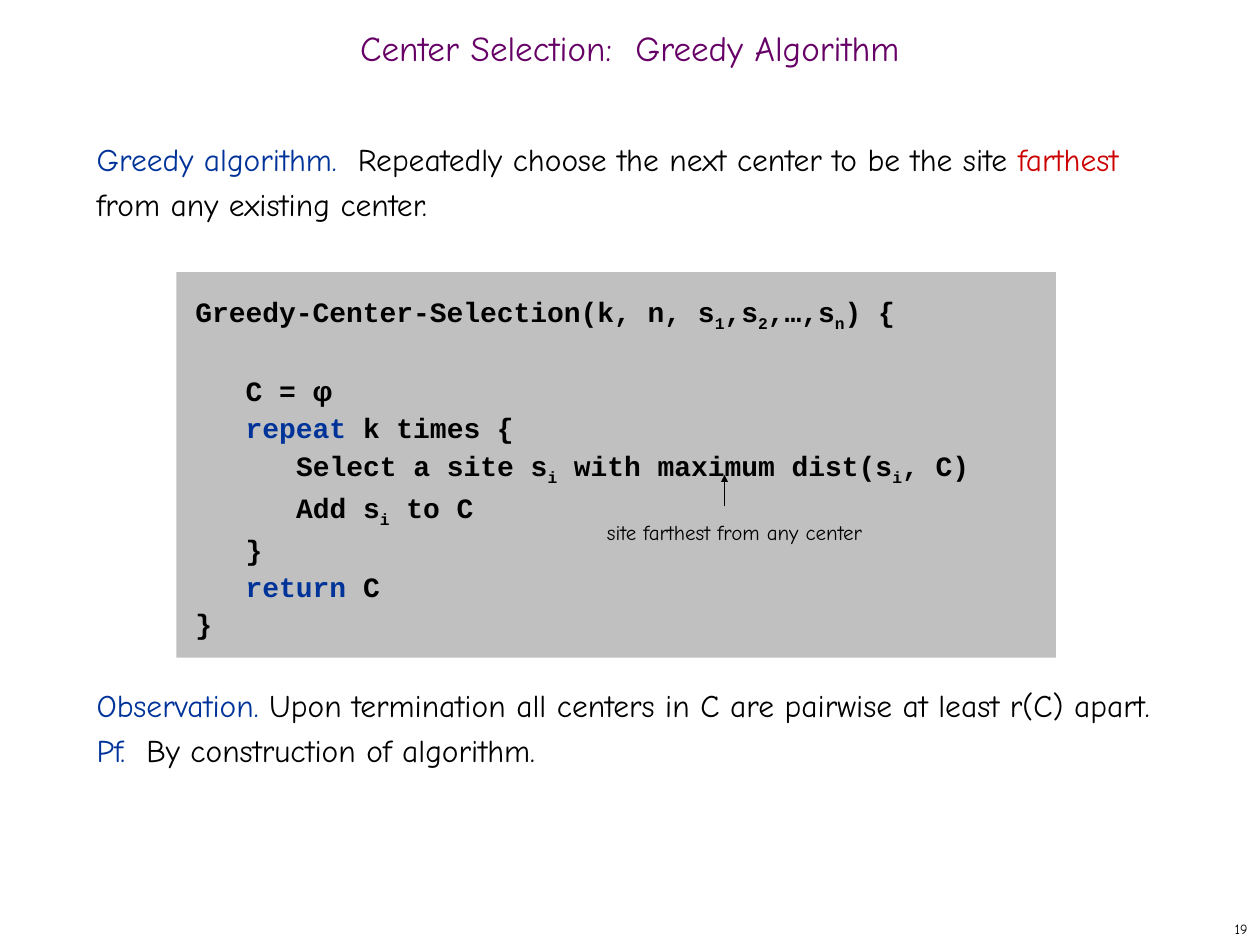
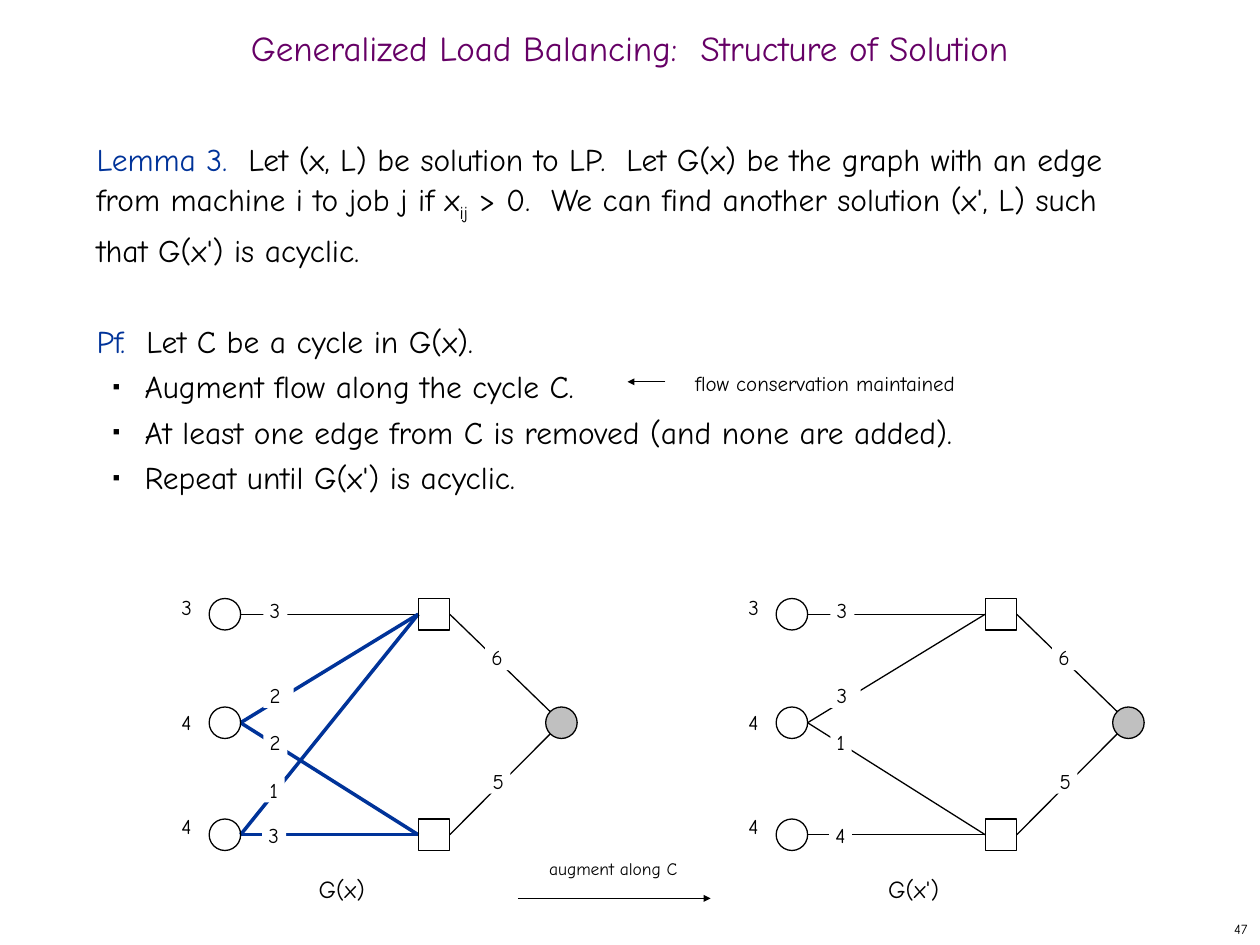
from lxml import etree
from pptx import Presentation
from pptx import util as u
from pptx.dml import color as dml
from pptx.enum import shapes, text
from pptx.oxml import ns

Pt = u.Pt
BLACK, WHITE, GRAY = "000000", "FFFFFF", "C0C0C0"
BLUE, RED, PURPLE = "003399", "CC0000", "660066"
SANS, MONO = "Comic Neue", "Courier New"
SUB = "sub"
CODE_STEP = 28.8
NODE = 18
JOB_X, MACHINE_X, SINK_X = 119.5, 239, 311.8
JOB_TOPS = (342, 404, 468)
MACHINE_TOPS = (342, 468)
GRAPH_SHIFT = 324


def rgb(value):
    return dml.RGBColor.from_string(value)


def place(box, left, top, width, height):
    box.left, box.top, box.width, box.height = map(Pt, (left, top, width, height))


def add_xml(parent, tag, **attributes):
    return etree.SubElement(parent, ns.qn(tag), attributes)


def add_bullet(para):
    props = para._p.get_or_add_pPr()
    add_xml(add_xml(props, "a:buClr"), "a:srgbClr", val=BLACK)
    add_xml(props, "a:buSzPct", val="35000")
    add_xml(props, "a:buFont", typeface="Arial")
    add_xml(props, "a:buChar", char="■")


def write(para, spans, size, color=BLACK, font=SANS, bold=False):
    para.font.size, para.font.name, para.font.bold = Pt(size), font, bold
    para.font.color.rgb = rgb(color)
    for item in spans:
        words, mark = item if isinstance(item, tuple) else (item, None)
        span = para.add_run()
        span.text = words
        if mark == SUB:
            span._r.get_or_add_rPr().set("baseline", "-25000")
        elif mark == "Arial":
            span.font.name = mark
        elif mark:
            span.font.color.rgb = rgb(mark)


def next_para(frame, index):
    return frame.add_paragraph() if index else frame.paragraphs[0]


def set_indent(para, left, first):
    props = para._p.get_or_add_pPr()
    props.set("marL", str(Pt(left)))
    props.set("indent", str(Pt(first)))


def add_page(deck, title, number):
    page = deck.slides.add_slide(deck.slide_layouts[1])
    box = page.shapes.title
    place(box, 0, 12, 720, 36)
    box.text_frame.vertical_anchor = text.MSO_ANCHOR.MIDDLE
    box.text_frame.auto_size = text.MSO_AUTO_SIZE.NONE
    para = box.text_frame.paragraphs[0]
    para.alignment = text.PP_ALIGN.CENTER
    para.line_spacing = 0.7
    write(para, [title], 20, PURPLE)
    footer = page.shapes.add_textbox(Pt(570), Pt(522), Pt(150), Pt(18)).text_frame
    footer.word_wrap = True
    footer.vertical_anchor = text.MSO_ANCHOR.MIDDLE
    footer.paragraphs[0].alignment = text.PP_ALIGN.RIGHT
    write(footer.paragraphs[0], [number], 8)
    return page


def fill_body(page, lines):
    box = page.placeholders[1]
    place(box, 48, 72, 618, 426)
    frame = box.text_frame
    frame.auto_size = text.MSO_AUTO_SIZE.NONE
    for index, (gap, bulleted, spans) in enumerate(lines):
        para = next_para(frame, index)
        para.line_spacing, para.space_before = Pt(26), Pt(gap)
        if bulleted:
            para.level = 1
            set_indent(para, 27.4, -18)
            add_bullet(para)
        else:
            set_indent(para, 0, 0)
            add_xml(para._p.get_or_add_pPr(), "a:buNone")
        write(para, spans, 18)


def add_code(page, lines):
    box = page.shapes.add_shape(shapes.MSO_SHAPE.RECTANGLE,
                                Pt(100.8), Pt(155.6), Pt(502.6), Pt(220.2))
    box.shadow.inherit = False
    box.fill.solid()
    box.fill.fore_color.rgb = rgb(GRAY)
    box.line.fill.background()
    frame = box.text_frame
    frame.word_wrap = True
    frame.vertical_anchor = text.MSO_ANCHOR.TOP
    frame.margin_left = frame.margin_right = frame.margin_bottom = Pt(10.8)
    frame.margin_top = Pt(13.5)
    for index, (depth, gap, spans) in enumerate(lines):
        para = next_para(frame, index)
        para.alignment = text.PP_ALIGN.LEFT
        para.line_spacing, para.space_before = Pt(21.3), Pt(gap)
        set_indent(para, depth * CODE_STEP, 0)
        write(para, spans, 16, font=MONO, bold=True)


def add_note(page, words, left, top, width, height, size=12, leading=None):
    box = page.shapes.add_textbox(Pt(left), Pt(top), Pt(width), Pt(height))
    frame = box.text_frame
    frame.word_wrap = False
    frame.auto_size = text.MSO_AUTO_SIZE.SHAPE_TO_FIT_TEXT
    if leading:
        frame.paragraphs[0].line_spacing = Pt(leading)
    write(frame.paragraphs[0], [words], size)
    return box


def add_edge_label(page, words, left, top, width=13.7):
    box = add_note(page, words, left, top, width, 14.4)
    box.fill.solid()
    box.fill.fore_color.rgb = rgb(WHITE)
    frame = box.text_frame
    frame.margin_left = frame.margin_right = Pt(3.6)
    frame.margin_top = frame.margin_bottom = 0


def add_line(page, start, end, color=BLACK, width=0.75, arrow=False):
    line = page.shapes.add_connector(shapes.MSO_CONNECTOR.STRAIGHT,
                                     *map(Pt, start + end))
    line.line.color.rgb = rgb(color)
    line.line.width = Pt(width)
    if arrow:
        add_xml(line.line._get_or_add_ln(), "a:tailEnd",
                type="triangle", w="sm", len="sm")
    add_xml(line._element.spPr, "a:effectLst")


def add_node(page, kind, left, top, fill=None):
    node = page.shapes.add_shape(kind, Pt(left), Pt(top), Pt(NODE), Pt(NODE))
    node.shadow.inherit = False
    if fill:
        node.fill.solid()
        node.fill.fore_color.rgb = rgb(fill)
    else:
        node.fill.background()
    node.line.color.rgb = rgb(BLACK)
    node.line.width = Pt(0.75)


def add_graph(page, shift, edges, labels, caption, caption_at):
    circle, square = shapes.MSO_SHAPE.OVAL, shapes.MSO_SHAPE.RECTANGLE
    half = NODE / 2
    for job, machine, in_cycle in edges:
        add_line(page, (shift + JOB_X + NODE, JOB_TOPS[job] + half),
                 (shift + MACHINE_X, MACHINE_TOPS[machine] + half),
                 BLUE if in_cycle else BLACK, 2 if in_cycle else 0.75)
    for top, sink_y in zip(MACHINE_TOPS, (406.8, 419.2)):
        add_line(page, (shift + SINK_X + 2.8, sink_y),
                 (shift + MACHINE_X + NODE, top + half))
        add_node(page, square, shift + MACHINE_X, top)
    for top, supply, label_top in zip(JOB_TOPS, "344", (336.2, 401.8, 461.5)):
        add_node(page, circle, shift + JOB_X, top)
        add_note(page, supply, shift + 96.5, label_top, 20.5, 21.6)
    add_node(page, circle, shift + SINK_X, JOB_TOPS[1], GRAY)
    loads = [("6", 277.2, 368.6), ("5", 277.9, 439.2)]
    for words, left, *rest in labels + loads:
        add_edge_label(page, words, shift + left, *rest)
    add_note(page, caption, shift + caption_at[0], 496, caption_at[1], 23.8, 14)


def build_greedy(deck):
    page = add_page(deck, "Center Selection:  Greedy Algorithm", "19")
    fill_body(page, [
        (0, False, [("Greedy algorithm.  ", BLUE),
                    "Repeatedly choose the next center to be the site ",
                    ("farthest", RED), " from any existing center."]),
        (260, False, [("Observation. ", BLUE),
                      "Upon termination all centers in C are pairwise "
                      "at least r(C) apart."]),
        (0, False, [("Pf.  ", BLUE), "By construction of algorithm."]),
    ])
    add_code(page, [
        (0, 0, ["Greedy-Center-Selection(k, n, s", ("1", SUB), ",s", ("2", SUB),
                ",…,s", ("n", SUB), ") {"]),
        (1, 21, ["C = ", ("φ", "Arial")]),
        (1, 0, [("repeat ", BLUE), "k times {"]),
        (2, 3, ["Select a site s", ("i", SUB), " with maximum dist(s",
                ("i", SUB), ", C)"]),
        (2, 2.4, ["Add s", ("i", SUB), " to C"]),
        (1, 0, ["}"]),
        (1, 0, [("return ", BLUE), "C"]),
        (0, 0, ["}"]),
    ])
    add_line(page, (414, 289.4), (414, 271.4), arrow=True)
    add_note(page, "site farthest from any center", 339.8, 293.3, 161.3, 21.6)


def build_balancing(deck):
    page = add_page(deck, "Generalized Load Balancing:  Structure of Solution", "47")
    fill_body(page, [
        (0, False, [("Lemma 3.  ", BLUE),
                    "Let (x, L) be solution to LP.  Let G(x) be the graph with "
                    "an edge from machine i to job j if x", ("ij", SUB),
                    " > 0.  We can find another solution (x', L) such that "
                    "G(x') is acyclic."]),
        (26, False, [("Pf.  ", BLUE), "Let C be a cycle in G(x)."]),
        (0, True, ["Augment flow along the cycle C."]),
        (0, True, ["At least one edge from C is removed (and none are added)."]),
        (0, True, ["Repeat until G(x') is acyclic."]),
    ])
    add_graph(page, 0,
              [(0, 0, False), (1, 0, True), (1, 1, True), (2, 0, True), (2, 1, True)],
              [("3", 150.5, 341.3), ("2", 150.5, 390.2, 17.3), ("2", 150.5, 416.9),
               ("1", 150.5, 444.2, 12.2), ("3", 149.8, 470.2)],
              "G(x)", (175, 41))
    add_graph(page, GRAPH_SHIFT,
              [(0, 0, False), (1, 0, False), (1, 1, False), (2, 1, False)],
              [("3", 150.5, 341.3), ("3", 150.5, 390.2, 17.3),
               ("1", 150.5, 416.9, 12.2), ("4", 149.8, 470.2, 13)],
              "G(x')", (176.4, 43.9))
    add_note(page, "augment along C", 306.7, 486.7, 87.8, 19.4, 10)
    add_line(page, (295.9, 513.4), (406.1, 513.4), arrow=True)
    add_note(page, "flow conservation maintained", 390.2, 196.6, 164.2, 33.1,
             leading=26)
    add_line(page, (380.2, 218.2), (358.6, 218.2), arrow=True)


def main():
    deck = Presentation()
    deck.slide_width, deck.slide_height = Pt(720), Pt(540)
    build_greedy(deck)
    build_balancing(deck)
    deck.save("out.pptx")


if __name__ == "__main__":
    main()
